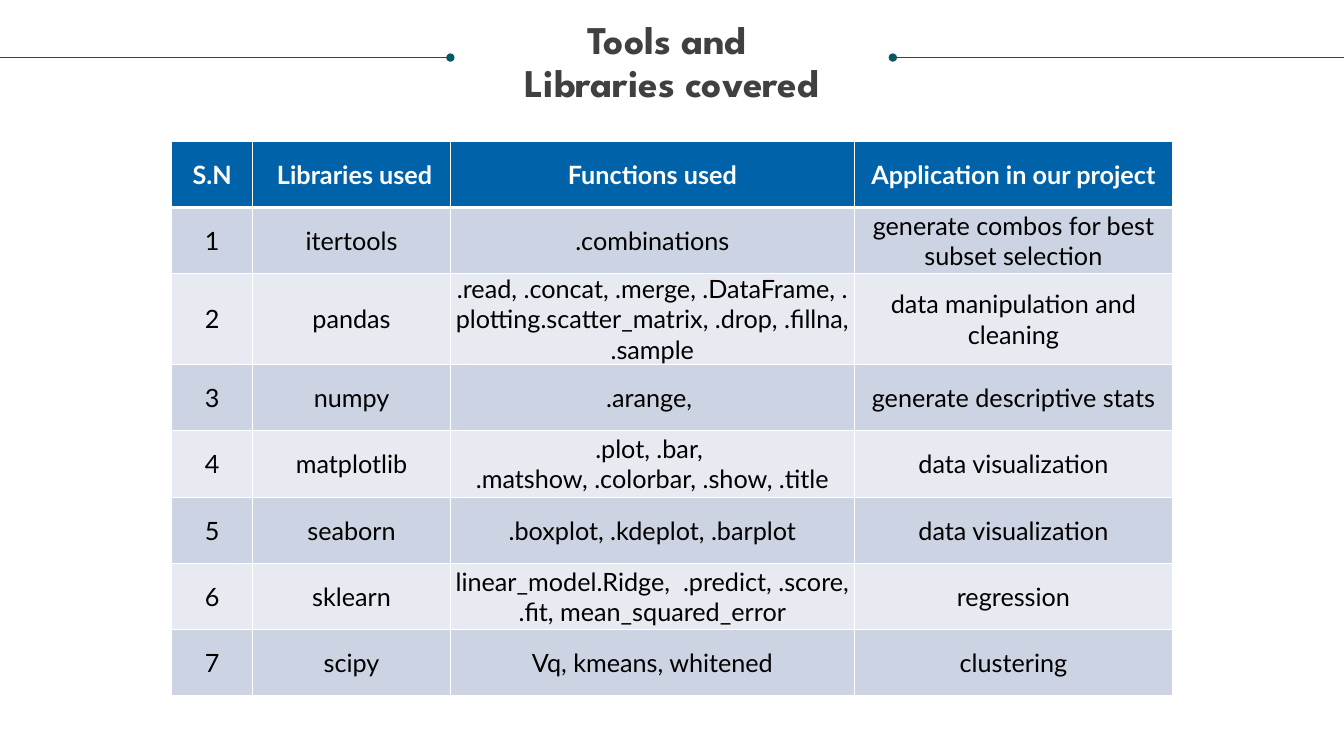
from dataclasses import dataclass

from pptx import Presentation
from pptx.dml.color import RGBColor
from pptx.enum import shapes, text
from pptx.oxml import parse_xml
from pptx.oxml.ns import nsdecls, qn
from pptx.util import Cm, Pt


@dataclass(frozen=True)
class Theme:
    rule: str = "085764"
    title: str = "404040"
    head: str = "0062A9"
    bands: tuple = ("CCD3E2", "E7EAF1")
    white: str = "FFFFFF"
    black: str = "000000"
    big: int = 28
    small: int = 18
    display: str = "League Spartan"
    body: str = "Lato"


@dataclass(frozen=True)
class Rule:
    start: float
    end: float
    dot: str


@dataclass(frozen=True)
class Tool:
    name: str
    calls: str
    use: str


THEME = Theme()
WIDTH, HEIGHT = 33.87, 19.05
RULE_Y = 1.45
LEFT_RULE = Rule(0, 11.35, "tailEnd")
RIGHT_RULE = Rule(22.5, WIDTH, "headEnd")
COLS = (2.04, 4.98, 10.18, 8.02)
ROW, TALL = 1.67, 2.08
HEADS = ("S.N", " Libraries used", "Functions used", "Application in our project")
TOOLS = (
    Tool("itertools", ".combinations", "generate combos for best subset selection"),
    Tool("pandas", ".read, .concat, .merge, .DataFrame, .plotting.scatter_matrix, "
         ".drop, .fillna, .sample", "data manipulation and cleaning"),
    Tool("numpy", ".arange, ", "generate descriptive stats"),
    Tool("matplotlib", ".plot, .bar, \n.matshow, .colorbar, .show, .title",
         "data visualization"),
    Tool("seaborn", ".boxplot, .kdeplot, .barplot", "data visualization"),
    Tool("sklearn", "linear_model.Ridge,  .predict, .score, .fit, mean_squared_error",
         "regression"),
    Tool("scipy", "Vq, kmeans, whitened", "clustering"),
)


def assign(item, values: dict) -> None:
    for key, value in values.items():
        setattr(item, key, value)


def write(frame, words: str, color: str, form: dict) -> None:
    """Fill a text frame with centred paragraphs, one for each line of words."""
    frame.text = words
    for para in frame.paragraphs:
        para.alignment = text.PP_ALIGN.CENTER
        for run in para.runs:
            assign(run.font, form)
            run.font.color.rgb = RGBColor.from_string(color)


def draw_rule(slide, rule: Rule) -> None:
    line = slide.shapes.add_connector(
        shapes.MSO_CONNECTOR.STRAIGHT,
        Cm(rule.start), Cm(RULE_Y), Cm(rule.end), Cm(RULE_Y))
    line.line.width = Pt(0.5)
    line.line.color.rgb = RGBColor.from_string(THEME.rule)
    props = line._element.spPr
    props.find(qn("a:ln")).append(
        parse_xml(f'<a:{rule.dot} {nsdecls("a")} type="oval"/>'))
    props.append(parse_xml(f'<a:effectLst {nsdecls("a")}/>'))


def draw_title(slide) -> None:
    box = slide.shapes.add_textbox(Cm(0.64), Cm(0.53), Cm(32.59), Cm(2.16))
    frame = box.text_frame
    assign(frame, dict(word_wrap=True, margin_left=0, margin_right=0,
                       margin_top=0, margin_bottom=0))
    write(frame, "Tools and \vLibraries covered", THEME.title,
          dict(name=THEME.display, size=Pt(THEME.big), bold=True))
    frame.paragraphs[0].line_spacing = 0.9


def add_edge(cell, side: str, width: float) -> None:
    cell._tc.get_or_add_tcPr().append(parse_xml(
        f'<a:ln{side} {nsdecls("a")} w="{Pt(width)}"><a:solidFill>'
        f'<a:srgbClr val="{THEME.white}"/></a:solidFill></a:ln{side}>'))


def draw_cell(cell, words: str, row: int) -> None:
    head = row == 0
    edges = dict(L=1, R=1, T=1, B=3) if head else dict(L=1, R=1, B=1)
    for side, width in edges.items():
        add_edge(cell, side, width)
    cell.fill.solid()
    fill = THEME.head if head else THEME.bands[(row - 1) % 2]
    cell.fill.fore_color.rgb = RGBColor.from_string(fill)
    assign(cell, dict(margin_left=0, margin_right=0, margin_top=0, margin_bottom=0,
                      vertical_anchor=text.MSO_ANCHOR.MIDDLE))
    write(cell.text_frame, words, THEME.white if head else THEME.black,
          dict(name=THEME.body, size=Pt(THEME.small), bold=head))


def draw_table(slide) -> None:
    rows = [HEADS] + [(str(num), tool.name, tool.calls, tool.use)
                      for num, tool in enumerate(TOOLS, 1)]
    grid = slide.shapes.add_table(len(rows), len(COLS), Cm(4.33), Cm(3.56),
                                  Cm(sum(COLS)), Cm(ROW * len(TOOLS) + TALL)).table
    for col, width in zip(grid.columns, COLS):
        col.width = Cm(width)
    for row, words in enumerate(rows):
        grid.rows[row].height = Cm(TALL if row == 2 else ROW)
        for col, word in enumerate(words):
            draw_cell(grid.cell(row, col), word, row)


def main() -> None:
    deck = Presentation()
    assign(deck, dict(slide_width=Cm(WIDTH), slide_height=Cm(HEIGHT)))
    slide = deck.slides.add_slide(deck.slide_layouts[6])
    draw_rule(slide, RIGHT_RULE)
    draw_title(slide)
    draw_rule(slide, LEFT_RULE)
    draw_table(slide)
    deck.save("out.pptx")


if __name__ == "__main__":
    main()
